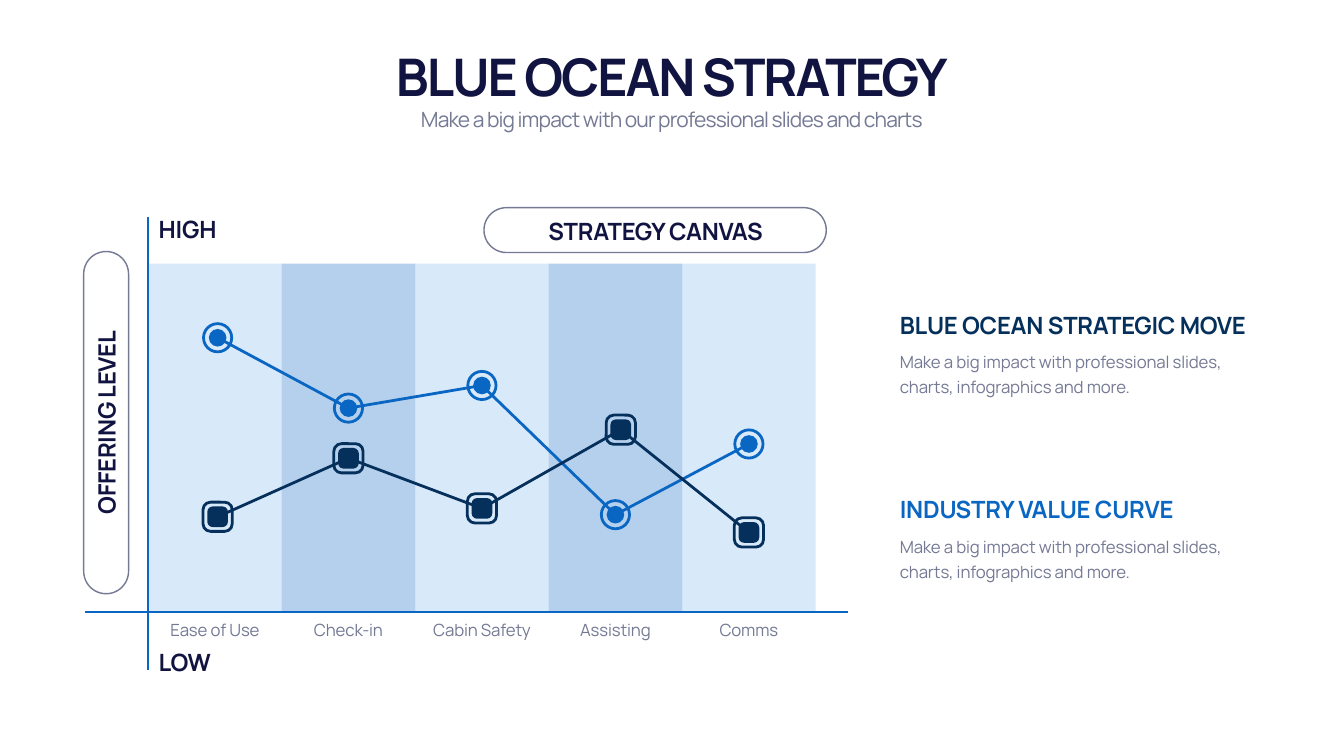
from pptx import Presentation
from pptx.dml.color import RGBColor
from pptx.enum.shapes import MSO_CONNECTOR as LINK, MSO_SHAPE as SHAPE
from pptx.enum.text import MSO_ANCHOR as ANCHOR, MSO_AUTO_SIZE as FIT, PP_ALIGN as ALIGN
from pptx.oxml.ns import qn
from pptx.util import Inches, Pt
from lxml.etree import SubElement

WIDE, HIGH = 26.66, 15
FONT = "Manrope"
HUE = dict(ink="111340", grey="747994", blue="0A66C3", navy="06305C", sky="4091E3")

TITLE = "BLUE OCEAN STRATEGY"
LEAD = "Make a big impact with our professional slides and charts"
FACTORS = ["Ease of Use", "Check-in", "Cabin Safety", "Assisting", "Comms"]
# Each point: shift from the column centre (share of a column), level (share of the plot)
CURVES = [
    dict(hue="blue", mark=SHAPE.OVAL, ring=0.56, core=0.35,
         points=[(0.02, 0.787), (0, 0.585), (0, 0.65), (0, 0.279), (0, 0.482)]),
    dict(hue="navy", mark=SHAPE.ROUNDED_RECTANGLE, ring=0.58, core=0.41,
         points=[(0.02, 0.273), (0, 0.441), (0, 0.297), (0.04, 0.523), (0, 0.228)]),
]
NOTE = "Make a big impact with professional slides, charts, infographics and more."
NOTES = [("BLUE OCEAN STRATEGIC MOVE", "navy", NOTE), ("INDUSTRY VALUE CURVE", "blue", NOTE)]
PILLS = [("STRATEGY CANVAS", (9.6, 4.12, 6.79, 0.89), 0),
         ("OFFERING LEVEL", (1.66, 4.99, 0.89, 6.79), 270)]
ENDS = [("HIGH", 4.2), ("LOW", 12.8)]

# Plot grid
LEFT, TOP, COL, TALL = 2.94, 5.23, 2.648, 6.91
BASE = TOP + TALL
# Notes column
SIDE, FIRST, STEP, SPAN = 17.75, 6.11, 3.66, 7.31
ROW = 0.67

HEAD = dict(size=34, bold=True, gap=-0.3)
BODY = dict(size=24, hue="grey", gap=-0.2, lead=36)

deck = Presentation()
deck.slide_width, deck.slide_height = Inches(WIDE), Inches(HIGH)
slide = deck.slides.add_slide(deck.slide_layouts[0])
shapes = slide.shapes


def rgb(hue):
    return RGBColor.from_string(HUE[hue])


def text(words, box, size=24, hue="ink", bold=False, gap=0, lead=None,
         align=ALIGN.LEFT, anchor=ANCHOR.TOP, turn=0, holder=None):
    """Write words in a new text box, or in the given placeholder."""
    spot = [Inches(v) for v in box]
    item = holder or shapes.add_textbox(*spot)
    item.left, item.top, item.width, item.height = spot
    item.rotation = turn
    frame = item.text_frame
    frame.word_wrap, frame.auto_size = True, FIT.SHAPE_TO_FIT_TEXT
    frame.vertical_anchor = anchor
    para = frame.paragraphs[0]
    para.alignment, para.space_before = align, Pt(0)
    if lead:
        para.line_spacing = Pt(lead)
    run = para.add_run()
    run.text = words
    font = run.font
    font.name, font.size, font.bold = FONT, Pt(size), bold
    font.color.rgb = rgb(hue)
    run._r.get_or_add_rPr().set("spc", str(round(gap * 100)))


def paint(item, fill=None, line=None, width=4, alpha=None):
    item.shadow.inherit = False
    if fill:
        item.fill.solid()
        item.fill.fore_color.rgb = rgb(fill)
        if alpha:
            tint = item._element.spPr.find(qn("a:solidFill"))[0]
            SubElement(tint, qn("a:alpha"), val=str(alpha * 1000))
    else:
        item.fill.background()
    if line:
        item.line.color.rgb = rgb(line)
        item.line.width = Pt(width)
    else:
        item.line.fill.background()


def shape(kind, box, home=shapes, **look):
    item = home.add_shape(kind, *[Inches(v) for v in box])
    paint(item, **look)
    return item


def axis(*ends):
    item = shapes.add_connector(LINK.STRAIGHT, *[Inches(v) for v in ends])
    item.line.color.rgb = rgb("blue")
    item.line.width = Pt(3.2)
    SubElement(item._element.spPr, qn("a:effectLst"))


def curve(hue, mark, ring, core, points):
    spots = [(LEFT + (i + 0.5 + shift) * COL, BASE - level * TALL)
             for i, (shift, level) in enumerate(points)]
    start, *rest = [(Inches(x), Inches(y)) for x, y in spots]
    pen = shapes.build_freeform(*start)
    pen.add_line_segments(rest, close=False)
    paint(pen.convert_to_shape(), line=hue)
    for x, y in spots:
        pair = shapes.add_group_shape().shapes
        for size, look in ((ring, dict(line=hue)), (core, dict(fill=hue))):
            item = shape(mark, (x - size / 2, y - size / 2, size, size), pair, **look)
            if mark == SHAPE.ROUNDED_RECTANGLE:
                item.adjustments[0] = 0.26


mid = dict(align=ALIGN.CENTER)
title, sub = slide.placeholders
text(TITLE, (1.66, 0.82, 23.33, 1.35), size=74, bold=True, gap=-2.9,
     anchor=ANCHOR.BOTTOM, holder=title, **mid)
text(LEAD, (1.66, 2.07, 23.33, 0.61), size=30, hue="grey", gap=-1.2, holder=sub, **mid)

for i, name in enumerate(FACTORS):
    x = LEFT + i * COL
    hue, alpha = (("sky", 20), ("blue", 30))[i % 2]
    shape(SHAPE.RECTANGLE, (x, TOP, COL, TALL), fill=hue, alpha=alpha)
    text(name, (x + 0.11, BASE, COL - 0.22, 0.58), **BODY, **mid)

axis(LEFT, 4.31, LEFT, 13.3)
axis(1.69, BASE, 16.83, BASE)
for item in CURVES:
    curve(**item)

for name, (x, y, w, h), turn in PILLS:
    shape(SHAPE.ROUNDED_RECTANGLE, (x, y, w, h), line="grey", width=2).adjustments[0] = 0.5
    long = 6.1
    nudge = 0 if turn else 0.01
    text(name, (x + (w - long) / 2 + nudge, y + (h - ROW) / 2 + nudge, long, ROW),
         anchor=ANCHOR.MIDDLE, turn=turn, **HEAD, **mid)

for name, y in ENDS:
    text(name, (LEFT + 0.11, y, 1.9, ROW), anchor=ANCHOR.MIDDLE, **HEAD)

for i, (head, hue, note) in enumerate(NOTES):
    y = FIRST + i * STEP
    text(head, (SIDE, y, SPAN, ROW), hue=hue, anchor=ANCHOR.BOTTOM, **HEAD)
    text(note, (SIDE, y + 0.72, SPAN, 1.09), **BODY)

deck.save("out.pptx")
